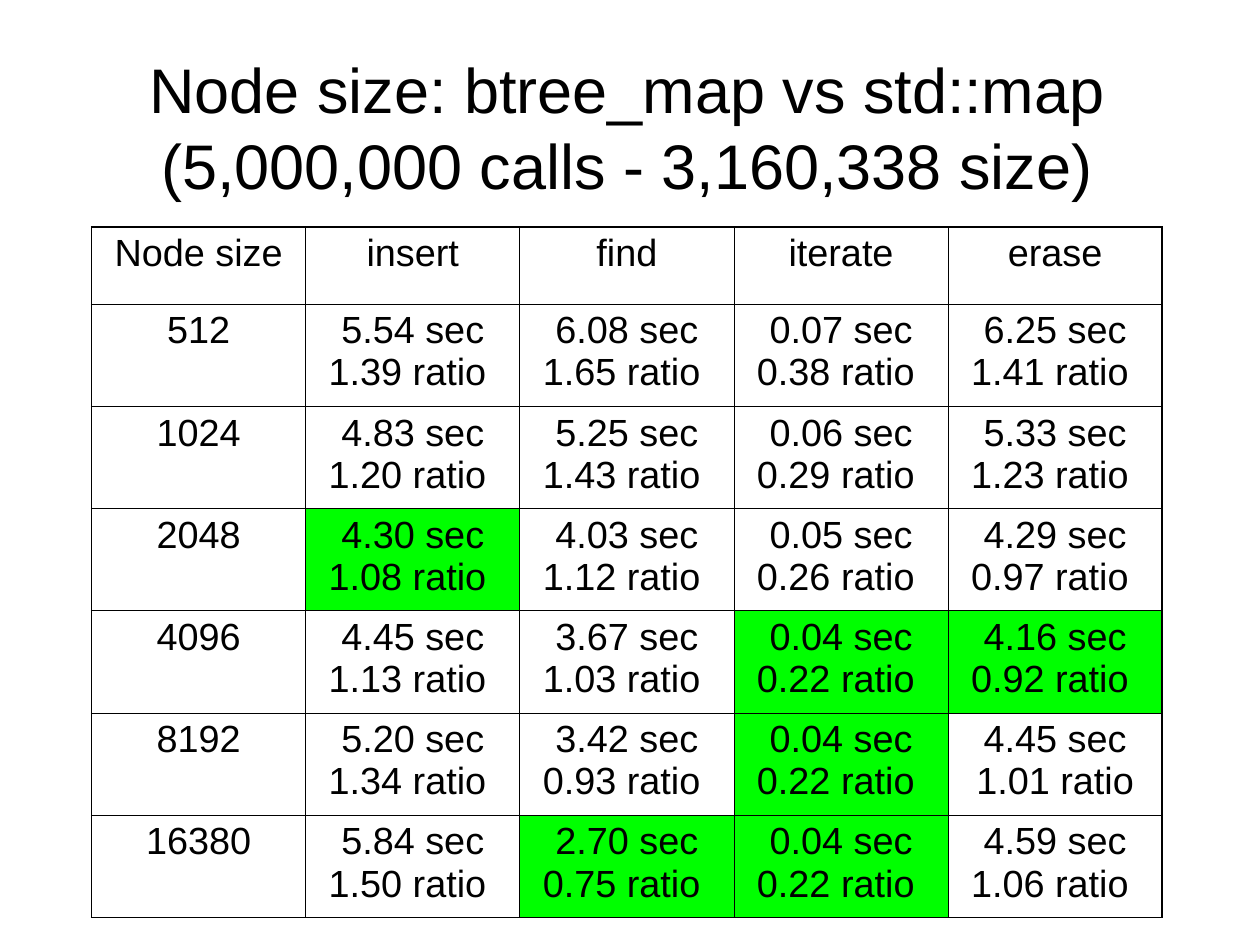
from pptx import Presentation
from pptx.dml.color import RGBColor
from pptx.enum.text import MSO_ANCHOR, MSO_AUTO_SIZE, PP_ALIGN
from pptx.oxml.ns import qn
from pptx.util import Cm, Pt
from lxml.etree import SubElement

COLORS = {"text": "000000", "border": "000000", "best": "00FF00"}
HEADERS = ["Node size", "insert", "find", "iterate", "erase"]
TIMINGS = {
    "512": ["5.54 1.39", "6.08 1.65", "0.07 0.38", "6.25 1.41"],
    "1024": ["4.83 1.20", "5.25 1.43", "0.06 0.29", "5.33 1.23"],
    "2048": ["4.30 1.08", "4.03 1.12", "0.05 0.26", "4.29 0.97"],
    "4096": ["4.45 1.13", "3.67 1.03", "0.04 0.22", "4.16 0.92"],
    "8192": ["5.20 1.34", "3.42 0.93", "0.04 0.22", "4.45 1.01"],
    "16380": ["5.84 1.50", "2.70 0.75", "0.04 0.22", "4.59 1.06"],
}
BEST = {
    ("2048", "insert"), ("4096", "iterate"), ("4096", "erase"),
    ("8192", "iterate"), ("16380", "find"), ("16380", "iterate"),
}
CENTERED_RATIO = ("8192", "erase")
LEFT, WIDTH = Cm(2.05), Cm(23.98)
THIN, THICK = Pt(0.45), Pt(1.08)


def write_text(text_frame, text, size, space_before=0):
    paragraph = text_frame.paragraphs[0]
    paragraph.text = text
    paragraph.alignment = PP_ALIGN.CENTER
    paragraph.space_before = Pt(space_before)
    for run in paragraph.runs:
        run.font.size = Pt(size)
        run.font.name = "Arial"
        run.font.bold = False
        run.font.color.rgb = RGBColor.from_string(COLORS["text"])


def set_border(cell, side, width):
    properties = cell._tc.get_or_add_tcPr()
    line = SubElement(properties, qn(f"a:ln{side}"), w=str(width))
    fill = SubElement(line, qn("a:solidFill"))
    SubElement(fill, qn("a:srgbClr"), val=COLORS["border"])


presentation = Presentation()
presentation.slide_width = Cm(28.22)
presentation.slide_height = Cm(21.17)
slide = presentation.slides.add_slide(presentation.slide_layouts[5])

title = slide.shapes.title
title.left, title.top, title.width, title.height = LEFT, Cm(1.06), WIDTH, Cm(3.53)
title.text_frame.auto_size = MSO_AUTO_SIZE.NONE
title.text_frame.word_wrap = True
title.text_frame.vertical_anchor = MSO_ANCHOR.MIDDLE
write_text(title.text_frame, "Node size: btree_map vs std::map (5,000,000 calls - 3,160,338 size)", 40)

rows = [HEADERS]
for node_size, timings in TIMINGS.items():
    row = [node_size]
    for operation, timing in zip(HEADERS[1:], timings):
        seconds, ratio = timing.split()
        ending = "" if (node_size, operation) == CENTERED_RATIO else " "
        row.append(f"{seconds} sec\v{ratio} ratio{ending}")
    rows.append(row)

last_row, last_column = len(rows) - 1, len(HEADERS) - 1
table = slide.shapes.add_table(len(rows), len(HEADERS), LEFT, Cm(5.08), WIDTH, Cm(15.47)).table
table.first_row = False
table.horz_banding = False
for column in table.columns:
    column.width = WIDTH // len(HEADERS)

for row_index, row in enumerate(rows):
    table.rows[row_index].height = Cm(2.29) if row_index else Cm(1.73)
    for column_index, text in enumerate(row):
        cell = table.cell(row_index, column_index)
        write_text(cell.text_frame, text, 24, space_before=6)
        outer_sides = {
            "L": column_index == 0,
            "R": column_index == last_column,
            "T": row_index == 0,
            "B": row_index == last_row,
        }
        for side, is_outer in outer_sides.items():
            set_border(cell, side, THICK if is_outer else THIN)
        if (row[0], HEADERS[column_index]) in BEST:
            cell.fill.solid()
            cell.fill.fore_color.rgb = RGBColor.from_string(COLORS["best"])
        else:
            cell.fill.background()

presentation.save("out.pptx")
